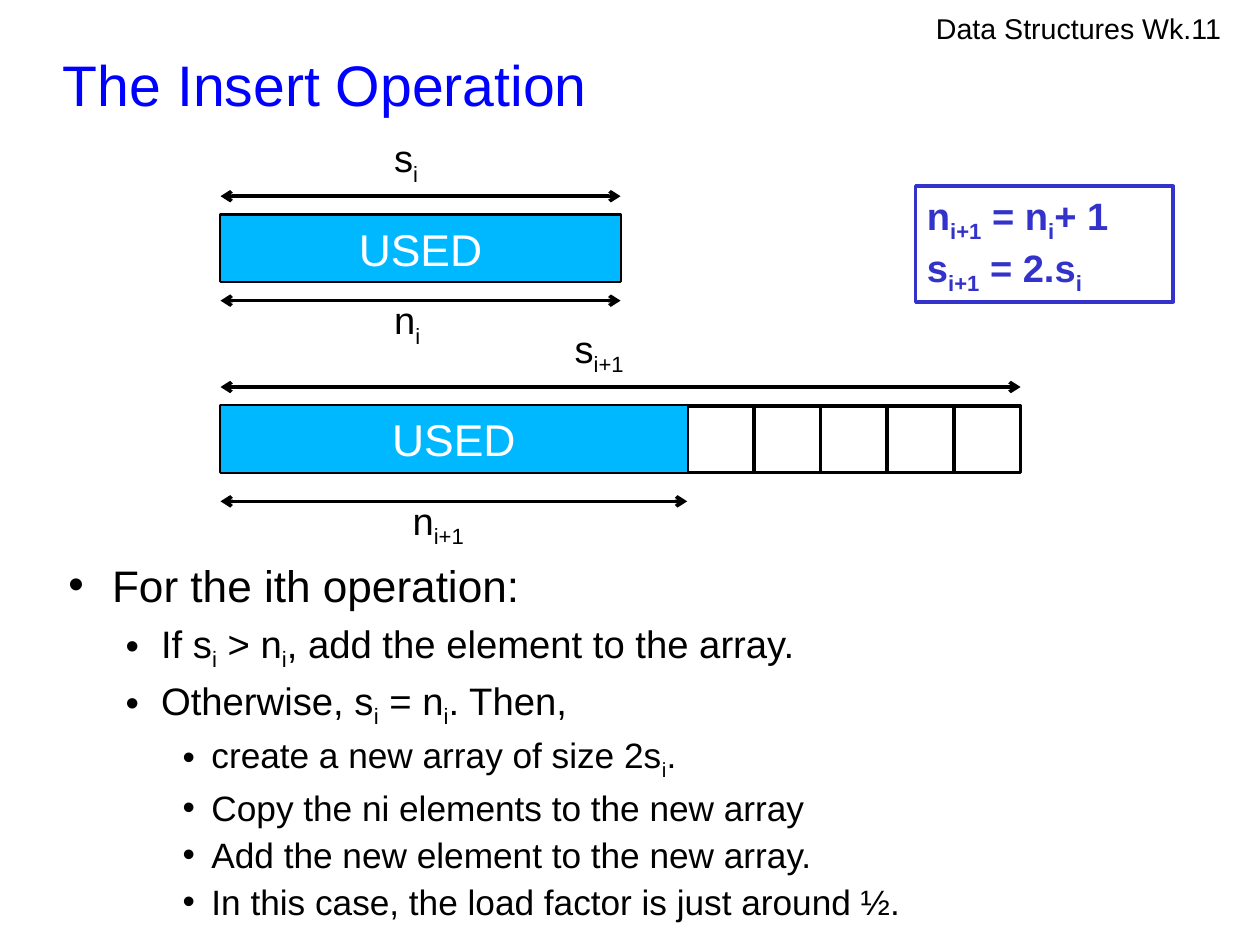
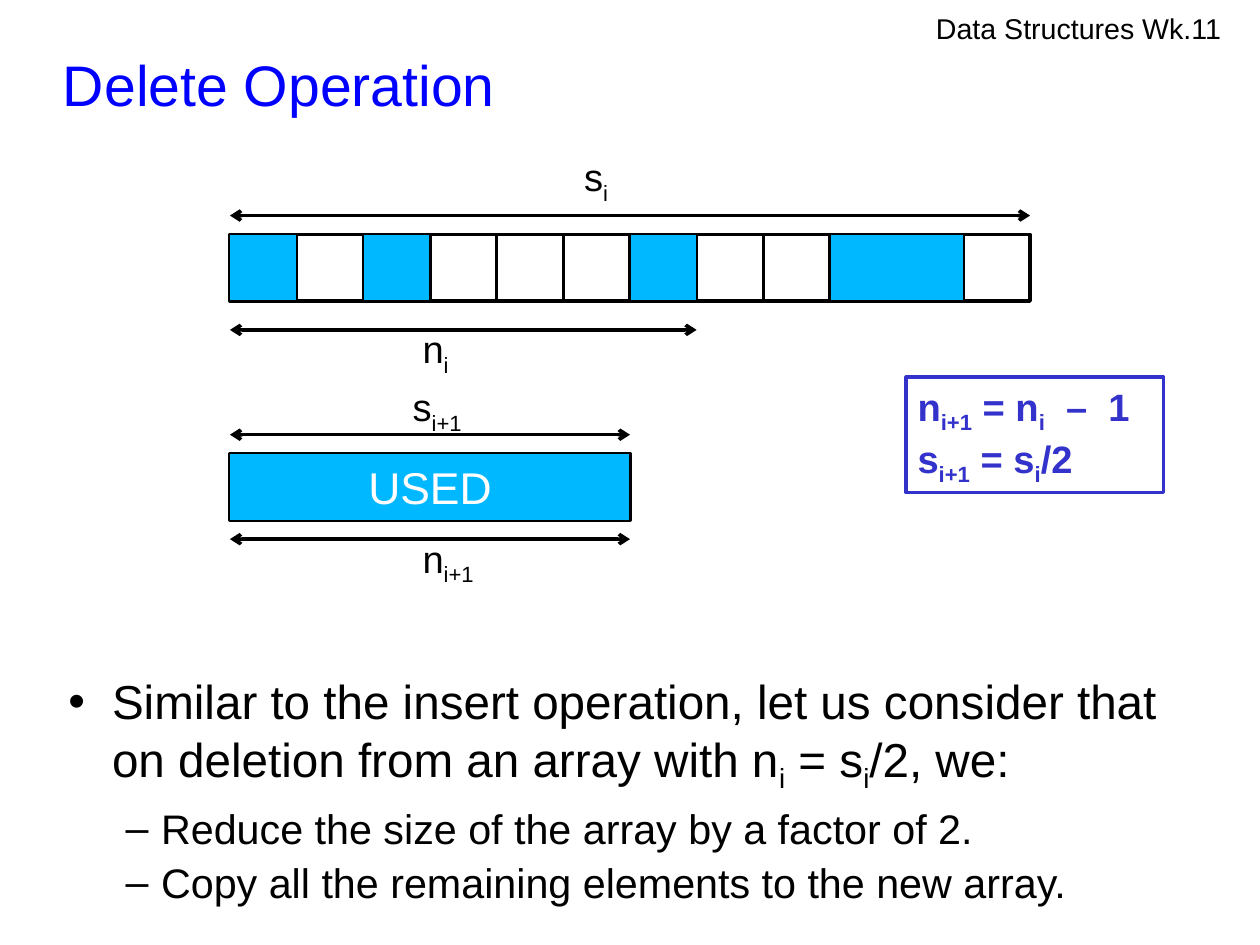
from itertools import cycle

from lxml.etree import SubElement
from pptx import Presentation
from pptx.dml.color import RGBColor
from pptx.enum.shapes import MSO_CONNECTOR, MSO_SHAPE
from pptx.enum.text import MSO_ANCHOR, PP_ALIGN
from pptx.oxml.ns import qn
from pptx.util import Cm, Pt

FONT = "Arial"
COLORS = {"title": "0000FF", "text": "000000", "used": "00B8FF",
          "white": "FFFFFF", "rule": "3333CC"}
HEADER = "Data Structures Wk.11"

# Lengths are in centimetres. In texts, "|" switches subscript on and off.
CELL = 17.78 / 12
GAP = 0.42
LEVELS = [(0.97, 0.97, 5.8), (2.06, 0.79, 2.9), (3.18, 0.64, 2.9)]

SLIDES = [
    {
        "title": "The Insert Operation",
        "left": 4.9,
        "bars": [
            {"top": 4.78, "cells": 6, "used": [(0, 6, "USED")],
             "size": ("s|i", 8.51, 1.5), "count": ("n|i", 8.51, 6, GAP)},
            {"top": 9.02, "cells": 12, "used": [(0, 7, "USED")],
             "size": ("s|i+1", 12.52, 1.5), "count": ("n|i+1", 8.92, 7, 0.64)},
        ],
        "rules": (20.35, 4.14, ["n|i+1| = n|i|+ 1", "s|i+1| = 2.s|i"]),
        "top": 12.4,
        "sizes": [27.8, 24.1, 22.2],
        "marks": "•••",
        "points": [
            (0, "For the ith operation:"),
            (1, "If s|i| > n|i|, add the element to the array."),
            (1, "Otherwise, s|i| = n|i|. Then,"),
            (2, "create a new array of size 2s|i|."),
            (2, "Copy the ni elements to the new array"),
            (2, "Add the new element to the new array."),
            (2, "In this case, the load factor is just around ½."),
        ],
    },
    {
        "title": "Delete Operation",
        "left": 5.11,
        "bars": [
            {"top": 5.21, "cells": 12,
             "used": [(0, 1, ""), (2, 3, ""), (6, 7, ""), (9, 11, "")],
             "size": ("s|i", 12.73, 1.5), "count": ("n|i", 9.14, 7, 0.64)},
            {"top": 10.08, "cells": 6, "used": [(0, 6, "USED")],
             "size": ("s|i+1", 8.92, 1.27), "count": ("n|i+1", 9.14, 6, GAP)},
        ],
        "rules": (20.14, 8.38, ["n|i+1| = n|i|  –  1", "s|i+1| = s|i|/2"]),
        "top": 14.94,
        "sizes": [30, 26],
        "marks": "•–",
        "points": [
            (0, "Similar to the insert operation, let us consider that on "
                "deletion from an array with n|i| = s|i|/2, we:"),
            (1, "Reduce the size of the array by a factor of 2."),
            (1, "Copy all the remaining elements to the new array."),
        ],
    },
]


def rgb(name):
    return RGBColor.from_string(COLORS[name])


def write(par, text, size, color="text", bold=False):
    """Fill a paragraph; every second piece between bars is a subscript."""
    for piece, low in zip(text.split("|"), cycle([False, True])):
        if not piece:
            continue
        run = par.add_run()
        run.text = piece
        font = run.font
        font.name, font.size, font.bold = FONT, Pt(size), bold
        font.color.rgb = rgb(color)
        if low:
            run._r.get_or_add_rPr().set("baseline", "-25000")


def set_inset(frame, side=0, edge=0):
    frame.word_wrap = True
    frame.margin_left = frame.margin_right = Cm(side)
    frame.margin_top = frame.margin_bottom = Cm(edge)


def add_text(slide, x, y, w, h, inset=(0, 0)):
    box = slide.shapes.add_textbox(Cm(x), Cm(y), Cm(w), Cm(h))
    set_inset(box.text_frame, *inset)
    return box


def add_label(slide, text, x, y):
    box = add_text(slide, x, y, 2.3, 1.42, (0.25, 0.13))
    write(box.text_frame.paragraphs[0], text, 24)


def add_rect(slide, x, y, cells, fill=None, width=2.25):
    box = slide.shapes.add_shape(MSO_SHAPE.RECTANGLE, Cm(x), Cm(y),
                                 Cm(cells * CELL), Cm(CELL))
    box.shadow.inherit = False
    if fill:
        box.fill.solid()
        box.fill.fore_color.rgb = rgb(fill)
    else:
        box.fill.background()
    box.line.color.rgb = rgb("text")
    box.line.width = Pt(width)
    return box


def add_line(slide, x1, y1, x2, y2, arrow=False):
    line = slide.shapes.add_connector(MSO_CONNECTOR.STRAIGHT, Cm(x1), Cm(y1),
                                      Cm(x2), Cm(y2))
    line.line.color.rgb = rgb("text")
    line.line.width = Pt(2.25)
    props = line._element.spPr
    if arrow:
        for end in ("a:headEnd", "a:tailEnd"):
            SubElement(props.find(qn("a:ln")), qn(end), type="arrow")
    SubElement(props, qn("a:effectLst"))


def add_bar(slide, left, bar):
    """Draw an array with its size above and its element count below."""
    top, cells = bar["top"], bar["cells"]
    bottom = top + CELL
    add_rect(slide, left, top, cells)
    for edge in range(1, cells):
        if not any(a < edge < b for a, b, _ in bar["used"]):
            x = left + edge * CELL
            add_line(slide, x, top, x, bottom)
    for start, stop, text in bar["used"]:
        box = add_rect(slide, left + start * CELL, top, stop - start,
                       "used", 0.75)
        if text:
            frame = box.text_frame
            frame.vertical_anchor = MSO_ANCHOR.MIDDLE
            frame.paragraphs[0].alignment = PP_ALIGN.CENTER
            write(frame.paragraphs[0], text, 28, "white")

    text, x, rise = bar["size"]
    y = top - GAP
    add_line(slide, left, y, left + cells * CELL, y, True)
    add_label(slide, text, x, y - rise)

    text, x, count, gap = bar["count"]
    y = bottom + gap
    add_line(slide, left, y, left + count * CELL, y, True)
    add_label(slide, text, x, y - 0.22)


def add_rules(slide, x, y, rules):
    box = add_text(slide, x, y, 5.72, 2.57, (0.25, 0.13))
    box.line.color.rgb = rgb("rule")
    box.line.width = Pt(2.25)
    frame = box.text_frame
    for i, rule in enumerate(rules):
        par = frame.add_paragraph() if i else frame.paragraphs[0]
        write(par, rule, 24, "rule", True)


def add_points(slide, data):
    top = data["top"]
    frame = add_text(slide, 1.52, top, 25.07, 20.8 - top).text_frame
    for i, (level, text) in enumerate(data["points"]):
        par = frame.add_paragraph() if i else frame.paragraphs[0]
        margin, hang, after = LEVELS[level]
        par.level = level
        par.space_after = Pt(after)
        props = par._p.get_or_add_pPr()
        props.set("marL", str(Cm(margin)))
        props.set("indent", str(-Cm(hang)))
        SubElement(props, qn("a:buFont"), typeface=FONT)
        SubElement(props, qn("a:buChar"), char=data["marks"][level])
        write(par, text, data["sizes"][level])


def add_slide(deck, data):
    slide = deck.slides.add_slide(deck.slide_layouts[5])
    title = slide.shapes.title
    title.left, title.top = Cm(1.4), Cm(0.84)
    title.width, title.height = Cm(25.07), Cm(2.03)
    frame = title.text_frame
    set_inset(frame)
    frame.vertical_anchor = MSO_ANCHOR.MIDDLE
    frame.paragraphs[0].alignment = PP_ALIGN.LEFT
    write(frame.paragraphs[0], data["title"], 36, "title")

    head = add_text(slide, 20.8, 0.25, 6.86, 0.81)
    write(head.text_frame.paragraphs[0], HEADER, 18)
    for bar in data["bars"]:
        add_bar(slide, data["left"], bar)
    add_rules(slide, *data["rules"])
    add_points(slide, data)


def main():
    deck = Presentation()
    deck.slide_width, deck.slide_height = Cm(28), Cm(21)
    for data in SLIDES:
        add_slide(deck, data)
    deck.save("out.pptx")


if __name__ == "__main__":
    main()
